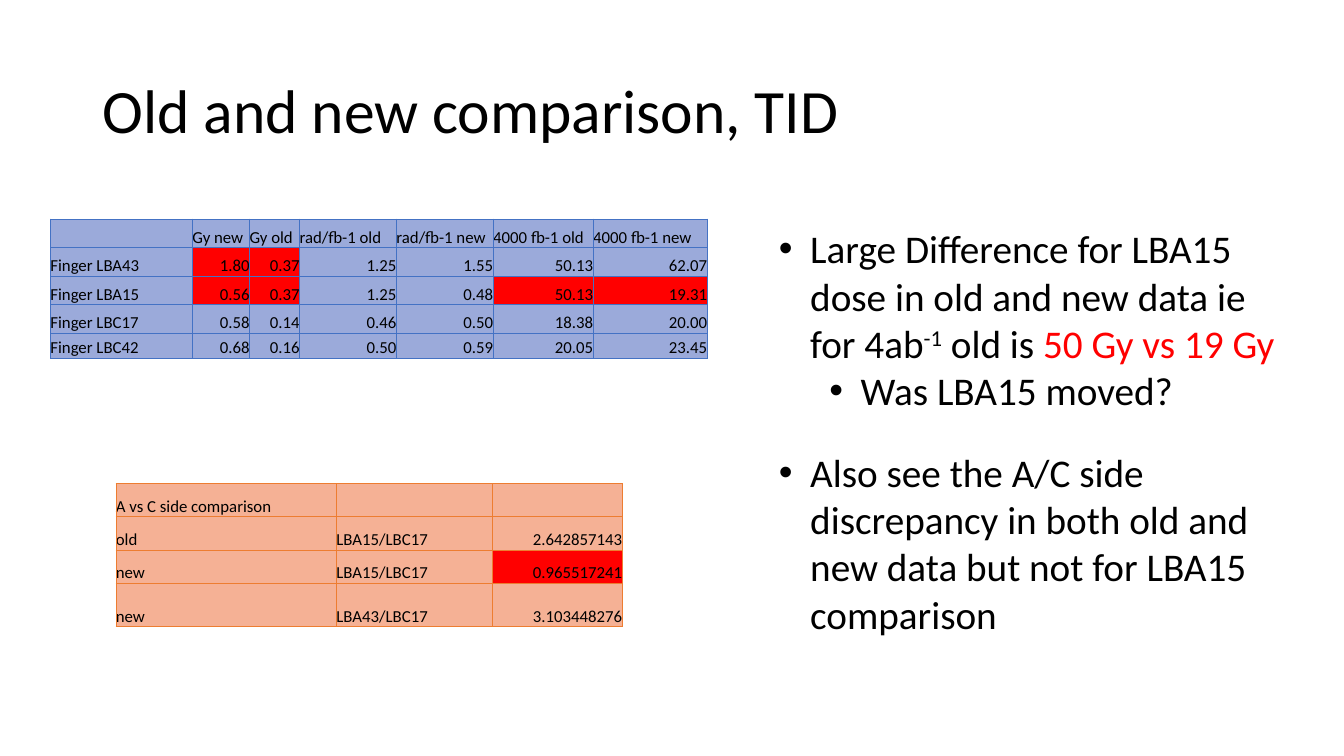
from dataclasses import dataclass

from lxml.etree import SubElement
from pptx import Presentation
from pptx.dml.color import RGBColor
from pptx.enum.text import MSO_ANCHOR, MSO_AUTO_SIZE, PP_ALIGN
from pptx.oxml.ns import qn
from pptx.util import Cm, Pt


@dataclass(frozen=True)
class Theme:
    font: str = "Calibri"
    title_size: int = 44
    body_size: int = 28
    table_size: int = 12
    black: str = "000000"
    red: str = "FF0000"
    blue_fill: str = "9BAADA"
    blue_line: str = "4472C4"
    orange_fill: str = "F5B195"
    orange_line: str = "ED7D31"
    border_width: float = 0.5


THEME = Theme()

TITLE = "Old and new comparison, TID"

# Marked cells are (row, column) pairs
DOSE_TABLE = {
    "place": (1.27, 5.52),
    "columns": (3.58, 1.44, 1.26, 2.44, 2.44, 2.52, 2.87),
    "heights": (0.72, 0.72, 0.72, 0.72, 0.63),
    "rows": [
        ("", "Gy new", "Gy old", "rad/fb-1 old", "rad/fb-1 new", "4000 fb-1 old", "4000 fb-1 new"),
        ("Finger LBA43", "1.80", "0.37", "1.25", "1.55", "50.13", "62.07"),
        ("Finger LBA15", "0.56", "0.37", "1.25", "0.48", "50.13", "19.31"),
        ("Finger LBC17", "0.58", "0.14", "0.46", "0.50", "18.38", "20.00"),
        ("Finger LBC42", "0.68", "0.16", "0.50", "0.59", "20.05", "23.45"),
    ],
    "marked": {(1, 1), (1, 2), (2, 1), (2, 2), (2, 5), (2, 6)},
    "fill": THEME.blue_fill,
    "line": THEME.blue_line,
}
SIDE_TABLE = {
    "place": (2.92, 12.18),
    "columns": (5.56, 3.92, 3.28),
    "heights": (0.84, 0.84, 0.84, 1.09),
    "rows": [
        ("A vs C side comparison", "", ""),
        ("old", "LBA15/LBC17", "2.642857143"),
        ("new", "LBA15/LBC17", "0.965517241"),
        ("new", "LBA43/LBC17", "3.103448276"),
    ],
    "marked": {(2, 2)},
    "fill": THEME.orange_fill,
    "line": THEME.orange_line,
}

# Each bullet is a level and its runs; a run is its text and its format
DOSE_BULLETS = [
    (0, [
        ("Large Difference for LBA15 dose in old and new data ie for 4ab", {}),
        ("-1", {"baseline": 30}),
        (" old is ", {}),
        ("50 Gy vs 19 Gy", {"color": THEME.red}),
    ]),
    (1, [("Was LBA15 moved?", {})]),
]
SIDE_BULLETS = [
    (0, [("Also see the A/C side discrepancy in both old and new data but not for LBA15 comparison", {})]),
]
NOTES = [((19.38, 5.54, 13.51, 6.25), DOSE_BULLETS), ((19.38, 11.18, 13.51, 5.05), SIDE_BULLETS)]
BULLET_INDENT = 0.79
LEVEL_STEP = 1.27


def add_text(paragraph, text, *, size, color=THEME.black, align=None, baseline=0):
    """Add one run; baseline is a rise in percent."""
    if align is not None:
        paragraph.alignment = align
    run = paragraph.add_run()
    run.text = text
    run.font.size = Pt(size)
    run.font.name = THEME.font
    run.font.color.rgb = RGBColor.from_string(color)
    if baseline:
        run.font._element.set("baseline", str(baseline * 1000))


def add_borders(cell, color):
    properties = cell._tc.get_or_add_tcPr()
    for side in ("lnL", "lnR", "lnT", "lnB"):
        line = SubElement(properties, qn(f"a:{side}"), w=str(Pt(THEME.border_width)))
        SubElement(SubElement(line, qn("a:solidFill")), qn("a:srgbClr"), val=color)


def fill_cell(cell, text, fill, line):
    add_borders(cell, line)
    cell.fill.solid()
    cell.fill.fore_color.rgb = RGBColor.from_string(fill)
    cell.margin_left = cell.margin_right = cell.margin_top = cell.margin_bottom = 0
    cell.vertical_anchor = MSO_ANCHOR.BOTTOM
    paragraph = cell.text_frame.paragraphs[0]
    if text:
        is_number = text.replace(".", "").isdigit()
        align = PP_ALIGN.RIGHT if is_number else PP_ALIGN.LEFT
        add_text(paragraph, text, size=THEME.table_size, align=align)
    else:
        # Keeps an empty cell from stretching its row
        SubElement(paragraph._p, qn("a:endParaRPr"), sz=str(THEME.table_size * 100))


def add_data_table(slide, content):
    rows, columns, heights = content["rows"], content["columns"], content["heights"]
    left, top = content["place"]
    table = slide.shapes.add_table(
        len(rows), len(columns), Cm(left), Cm(top), Cm(sum(columns)), Cm(sum(heights))
    ).table
    table.first_row = table.horz_banding = False
    for column, width in zip(table.columns, columns):
        column.width = Cm(width)
    for row, height in zip(table.rows, heights):
        row.height = Cm(height)
    for row_index, texts in enumerate(rows):
        for column_index, text in enumerate(texts):
            place = (row_index, column_index)
            fill = THEME.red if place in content["marked"] else content["fill"]
            fill_cell(table.cell(*place), text, fill, content["line"])


def add_bullets(slide, box, bullets):
    frame = slide.shapes.add_textbox(*map(Cm, box)).text_frame
    frame.word_wrap = True
    frame.auto_size = MSO_AUTO_SIZE.SHAPE_TO_FIT_TEXT
    for index, (level, runs) in enumerate(bullets):
        paragraph = frame.add_paragraph() if index else frame.paragraphs[0]
        paragraph.level = level
        properties = paragraph._p.get_or_add_pPr()
        properties.set("marL", str(Cm(BULLET_INDENT + level * LEVEL_STEP)))
        properties.set("indent", str(-Cm(BULLET_INDENT)))
        SubElement(properties, qn("a:buFont"), typeface="Arial")
        SubElement(properties, qn("a:buChar"), char="•")
        for text, run_format in runs:
            add_text(paragraph, text, size=THEME.body_size, **run_format)


def set_title(slide):
    title = slide.shapes.title
    title.left, title.top, title.width, title.height = map(Cm, (2.33, 1.01, 29.21, 3.68))
    frame = title.text_frame
    frame.vertical_anchor = MSO_ANCHOR.MIDDLE
    frame.auto_size = MSO_AUTO_SIZE.NONE
    paragraph = frame.paragraphs[0]
    paragraph.line_spacing = 0.9
    add_text(paragraph, TITLE, size=THEME.title_size, align=PP_ALIGN.LEFT)


def main():
    presentation = Presentation()
    presentation.slide_width, presentation.slide_height = Cm(33.87), Cm(19.05)
    slide = presentation.slides.add_slide(presentation.slide_layouts[5])
    set_title(slide)
    for content in (DOSE_TABLE, SIDE_TABLE):
        add_data_table(slide, content)
    for box, bullets in NOTES:
        add_bullets(slide, box, bullets)
    presentation.save("out.pptx")


if __name__ == "__main__":
    main()
